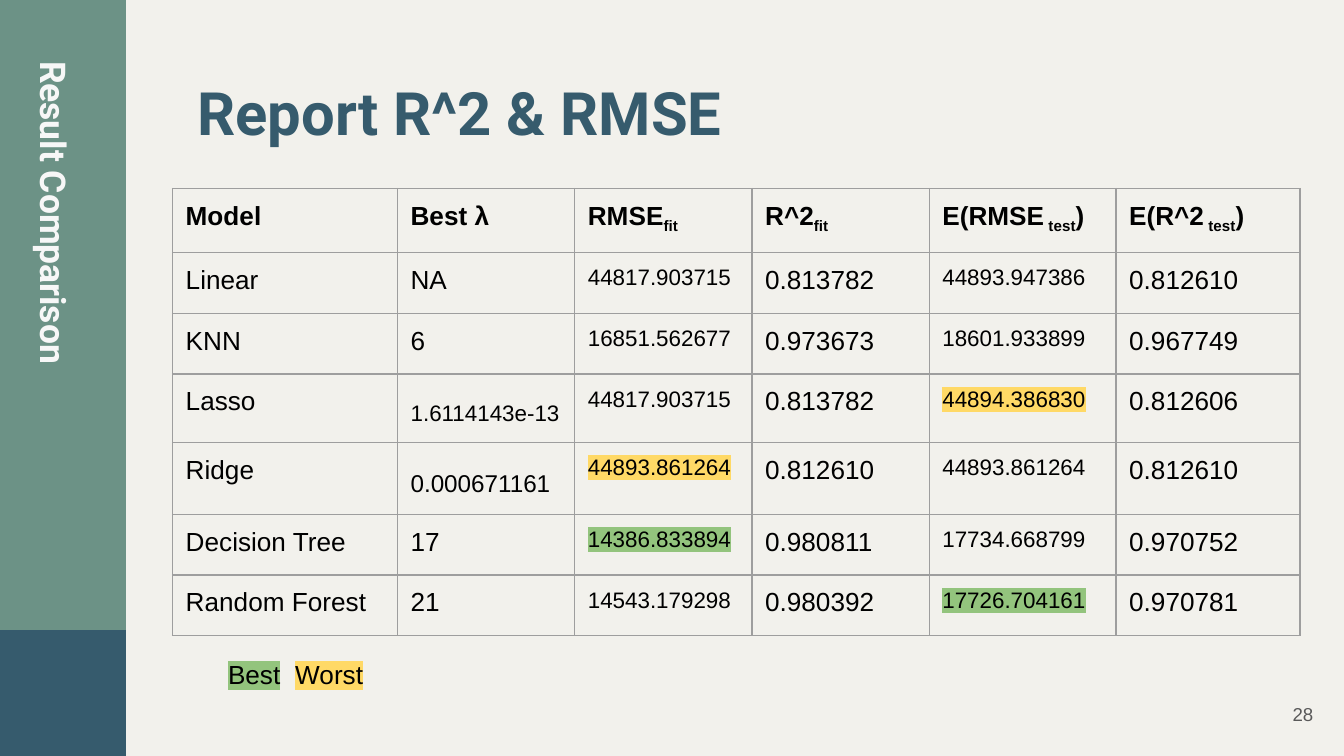
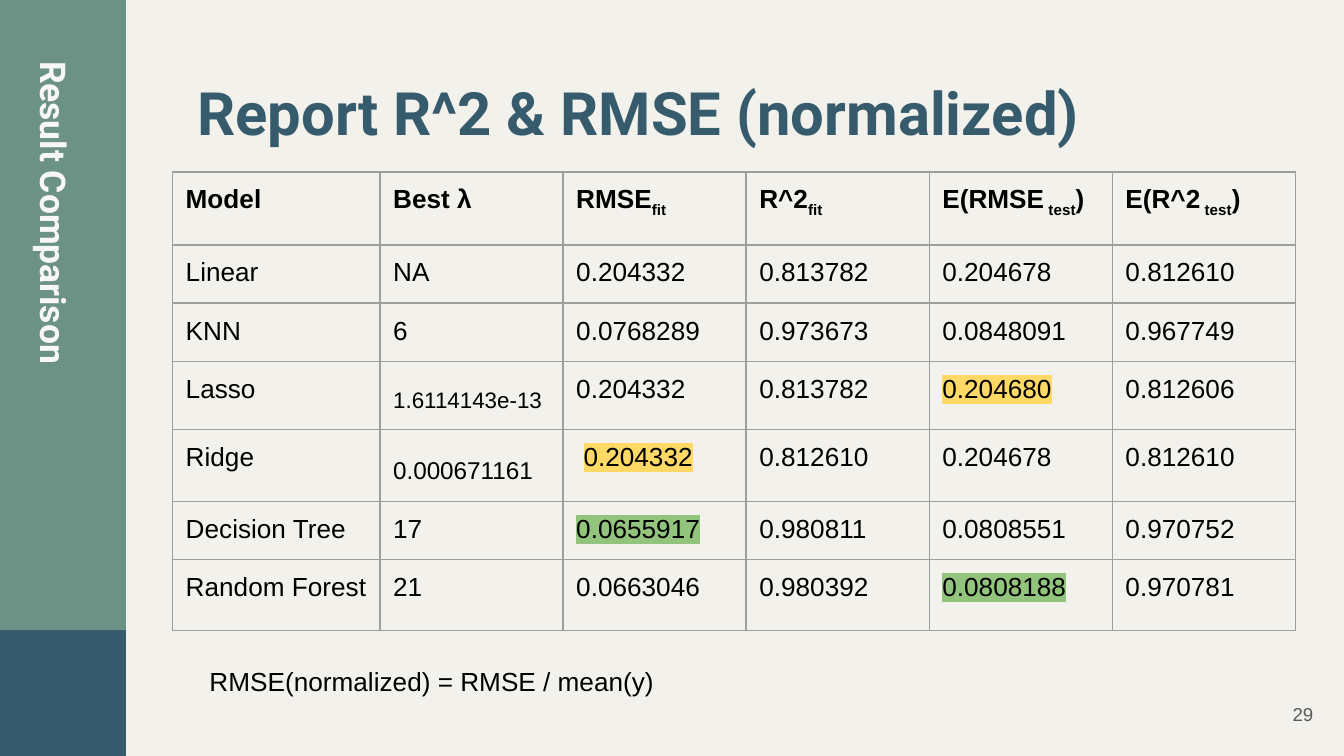
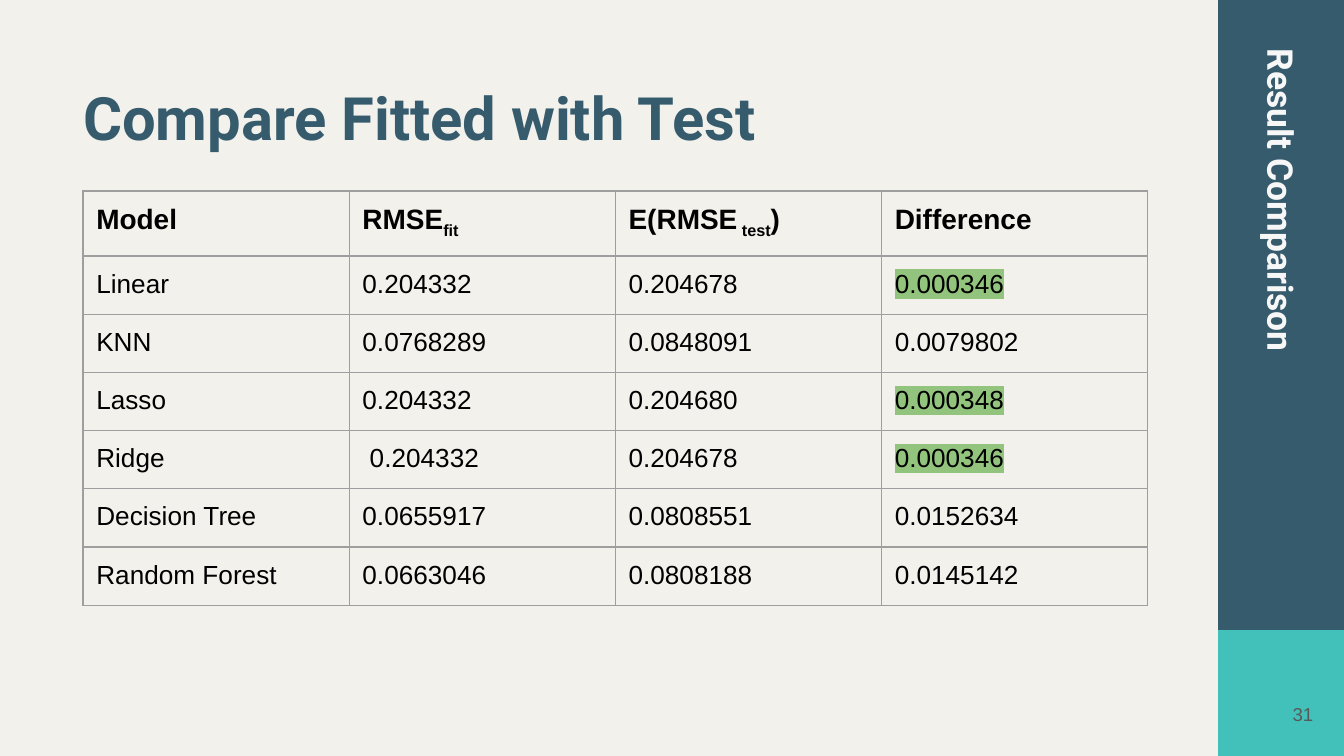
import pptx
import pptx.dml.color
import pptx.enum.shapes
import pptx.enum.text
import pptx.oxml.ns
import pptx.util
from lxml import etree

Cm, Pt = pptx.util.Cm, pptx.util.Pt
rgb = pptx.dml.color.RGBColor.from_string
qn = pptx.oxml.ns.qn
ALIGN = pptx.enum.text.PP_ALIGN
ANCHOR = pptx.enum.text.MSO_ANCHOR

PAPER, SAGE, NAVY, TEAL = "F2F1EC", "6C9286", "365B6D", "41C1BA"
WHITE, BLACK, GREY, RULE = "F7F7F7", "000000", "595959", "9E9E9E"
BEST, WORST = "93C47D", "FFD966"


def add_run(p, text, highlight=None, subscript=False):
    r = p.add_run()
    r.text = text
    rPr = r._r.get_or_add_rPr()
    if subscript:
        rPr.set("baseline", "-25000")
    if highlight:
        mark = etree.SubElement(rPr, qn("a:highlight"))
        etree.SubElement(mark, qn("a:srgbClr")).set("val", highlight)


def add_text(s, box, runs, size, font="Arial", color=BLACK, bold=False, inset=0.25, spacing=None):
    """Add a one-paragraph text box; runs are (text, highlight) pairs."""
    sp = s.shapes.add_textbox(*[Cm(v) for v in box])
    tf = sp.text_frame
    tf.word_wrap = True
    tf.margin_left = tf.margin_right = tf.margin_top = tf.margin_bottom = Cm(inset)
    p = tf.paragraphs[0]
    p.line_spacing = spacing
    p.font.size, p.font.name, p.font.bold = Pt(size), font, bold
    p.font.color.rgb = rgb(color)
    for text, highlight in runs:
        add_run(p, text, highlight)
    return sp


# Table columns; the part of a heading between underscores is a subscript
models = ["Model", "Linear", "KNN", "Lasso", "Ridge", "Decision Tree", "Random Forest"]
lambdas = ["Best λ", "NA", "6", "1.6114143e-13", "0.000671161", "17", "21"]
r2_fit = ["R^2_fit_", "0.813782", "0.973673", "0.813782", "0.812610", "0.980811", "0.980392"]
r2_test = ["E(R^2_ test_)", "0.812610", "0.967749", "0.812606", "0.812610", "0.970752", "0.970781"]
rmse_fit = ["RMSE_fit_", "44817.903715", "16851.562677", "44817.903715",
            "44893.861264", "14386.833894", "14543.179298"]
rmse_test = ["E(RMSE_ test_)", "44893.947386", "18601.933899", "44894.386830",
             "44893.861264", "17734.668799", "17726.704161"]
norm_fit = ["RMSE_fit_", "0.204332", "0.0768289", "0.204332", " 0.204332", "0.0655917", "0.0663046"]
norm_test = ["E(RMSE_ test_)", "0.204678", "0.0848091", "0.204680", "0.204678", "0.0808551", "0.0808188"]
difference = ["Difference", "0.000346", "0.0079802", "0.000348", "0.000346", "0.0152634", "0.0145142"]

extremes = {(3, 4): WORST, (4, 2): WORST, (5, 2): BEST, (6, 4): BEST}
left_band = dict(band=(0, 0, SAGE, NAVY), side=(-4.17, 5.13, 9.73, 1.78))
slides = [
    dict(left_band, number="28", title="Report R^2 & RMSE", title_box=(3.73, 1.3, 14.5, 1.37),
         columns=[models, lambdas, rmse_fit, r2_fit, rmse_test, r2_test],
         table_at=(3.26, 3.56), widths=[4.25, 3.35, 3.35, 3.35, 3.53, 3.48],
         heights=[1.21, 1.15, 1.15, 1.29, 1.36, 1.15, 1.15], marks=extremes, head_size=14,
         note=[("Best", BEST), ("\t", None), ("Worst", WORST)], note_box=(4.06, 12.19, 6.6, 1.12)),
    dict(left_band, number="29", title="Report R^2 & RMSE (normalized)", title_box=(3.73, 1.3, 17.3, 1.37),
         columns=[models, lambdas, norm_fit, r2_fit, norm_test, r2_test],
         table_at=(3.26, 3.25), widths=[3.92] + [3.46] * 5,
         heights=[1.38, 1.1, 1.1, 1.29, 1.36, 1.1, 1.34], marks=extremes, head_size=14,
         note=[("RMSE(normalized) = RMSE / mean(y)", None)], note_box=(3.71, 12.32, 10.77, 1.12)),
    dict(band=(23.02, -0.05, NAVY, TEAL), side=(19.51, 5.38, 9.73, 0.81),
         number="31", title="Compare Fitted with Test", title_box=(1.57, 1.4, 14.5, 1.37),
         columns=[models, norm_fit, norm_test, difference],
         table_at=(1.57, 3.61), widths=[5.03] * 4, heights=[1.23] + [1.1] * 6,
         marks={(1, 3): BEST, (3, 3): BEST, (4, 3): BEST}, head_size=15, note=None),
]

prs = pptx.Presentation()
prs.slide_width, prs.slide_height = Cm(25.4), Cm(14.29)

for page in slides:
    s = prs.slides.add_slide(prs.slide_layouts[6])
    s.background.fill.solid()
    s.background.fill.fore_color.rgb = rgb(PAPER)

    # Side band with its square foot
    x, y, band_color, foot_color = page["band"]
    for top, height, color in [(y, 14.29, band_color), (11.91, 2.38, foot_color)]:
        sp = s.shapes.add_shape(pptx.enum.shapes.MSO_SHAPE.RECTANGLE, Cm(x), Cm(top), Cm(2.38), Cm(height))
        sp.shadow.inherit = False
        sp.fill.solid()
        sp.fill.fore_color.rgb = rgb(color)
        sp.line.fill.background()

    add_text(s, page["title_box"], [(page["title"], None)], 32, "Roboto", NAVY, True, 0, 1.1)
    side = add_text(s, page["side"], [("Result Comparison", None)], 19, "Roboto", WHITE, True, 0, 1.2)
    side.rotation = 90

    # Results table
    columns, widths, heights = page["columns"], page["widths"], page["heights"]
    x, y = page["table_at"]
    table = s.shapes.add_table(len(heights), len(widths), Cm(x), Cm(y),
                               Cm(sum(widths)), Cm(sum(heights))).table
    table.first_row = table.horz_banding = False
    for col, width in zip(table.columns, widths):
        col.width = Cm(width)
    for row, height in zip(table.rows, heights):
        row.height = Cm(height)

    for j, column in enumerate(columns):
        for i, text in enumerate(column):
            cell = table.cell(i, j)
            cell.margin_left = cell.margin_right = cell.margin_top = cell.margin_bottom = Cm(0.25)
            tcPr = cell._tc.get_or_add_tcPr()
            for edge in ("a:lnL", "a:lnR", "a:lnT", "a:lnB"):
                ln = etree.SubElement(tcPr, qn(edge), w=str(Pt(0.75)))
                fill = etree.SubElement(ln, qn("a:solidFill"))
                etree.SubElement(fill, qn("a:srgbClr")).set("val", RULE)
            cell.fill.background()

            # Long numbers are set smaller so that they fit their column
            size = page["head_size"] if i == 0 else 14
            if column is not models and i > 0 and len(text) > 10:
                size = 13 if len(text) == 11 else 12
            p = cell.text_frame.paragraphs[0]
            if column is lambdas and size < 14:
                p.line_spacing = 1.55
            p.font.size, p.font.name, p.font.bold = Pt(size), "Arial", i == 0
            p.font.color.rgb = rgb(BLACK)
            mark = page["marks"].get((i, j))
            if mark and text.startswith(" "):
                add_run(p, " ")
                text = text.lstrip()
            for k, part in enumerate(text.split("_")):
                if part:
                    add_run(p, part, mark, subscript=k % 2 == 1)

    if page["note"]:
        add_text(s, page["note_box"], page["note"], 14)
    number = add_text(s, (23.55, 12.95, 1.52, 1.09), [(page["number"], None)], 10, color=GREY)
    number.text_frame.vertical_anchor = ANCHOR.MIDDLE
    number.text_frame.paragraphs[0].alignment = ALIGN.RIGHT

prs.save("out.pptx")
